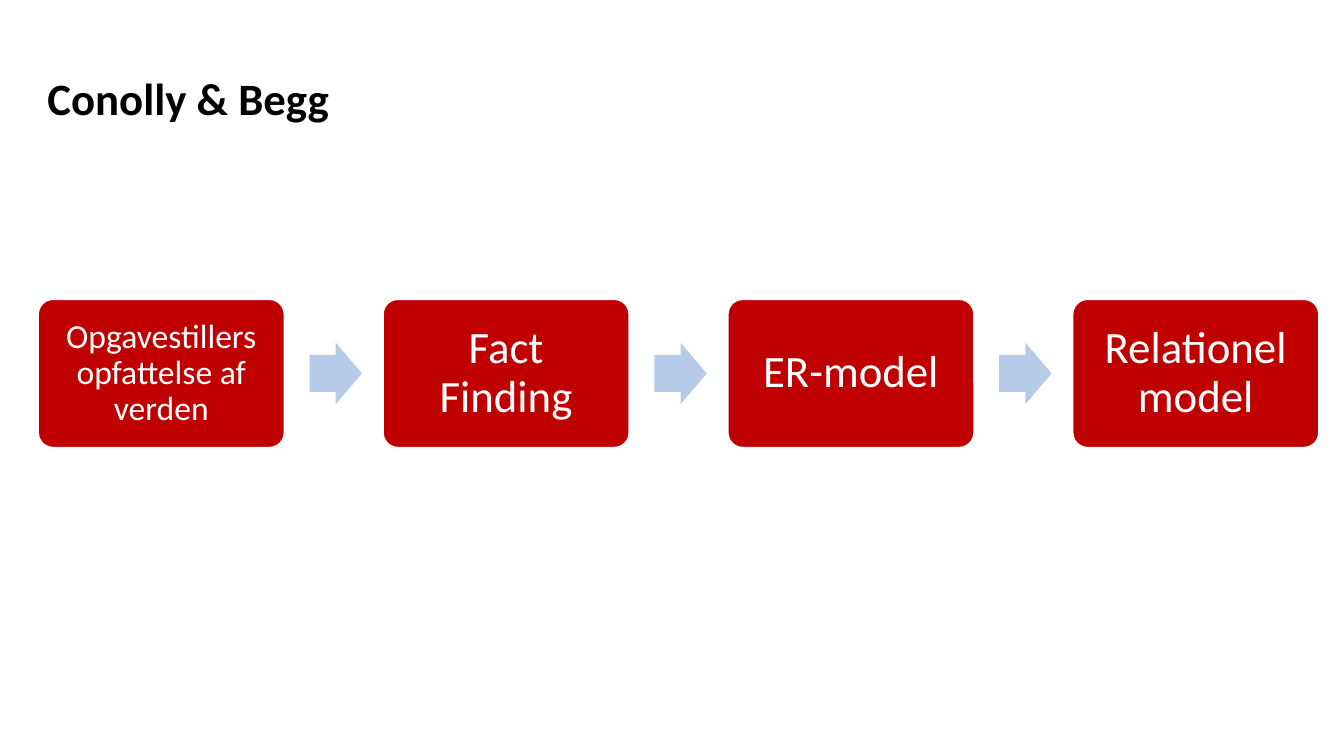
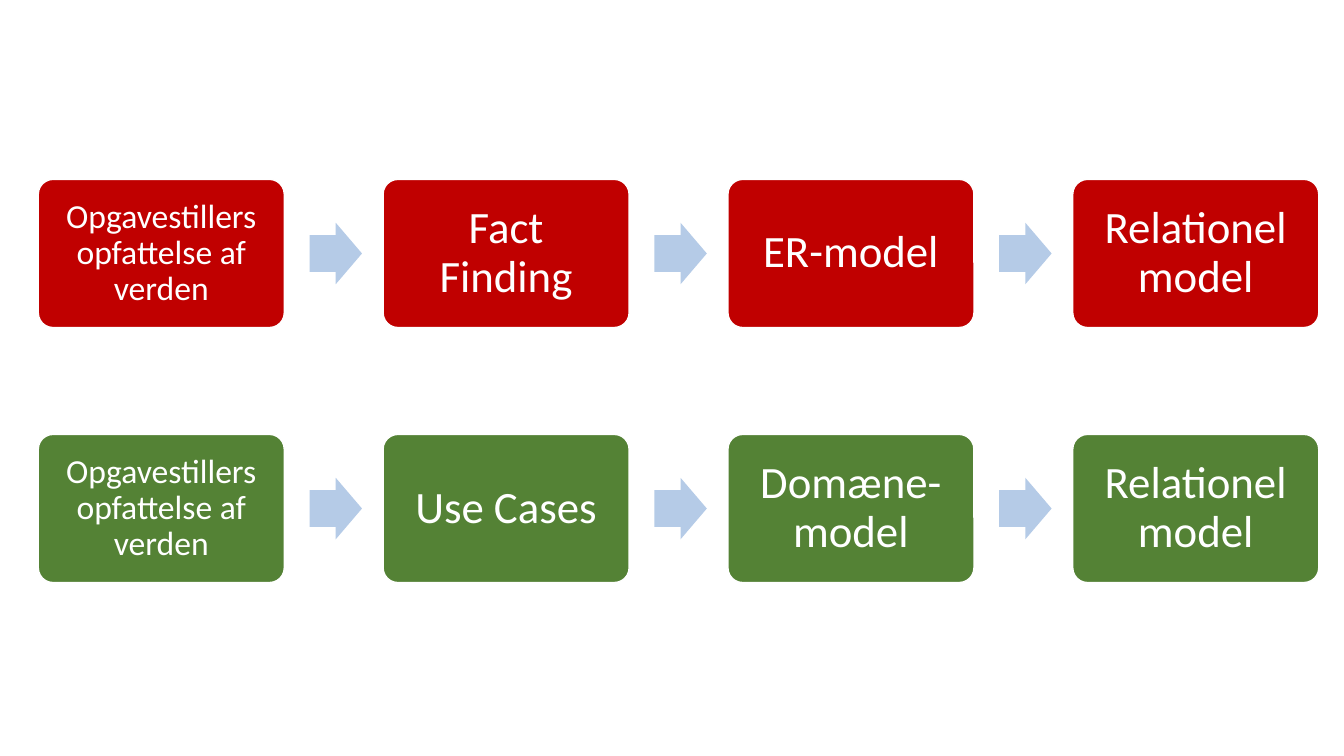
from pptx import Presentation
from pptx import util as u
from pptx.dml.color import RGBColor
from pptx.enum import shapes, text

FONT = "Calibri"
RED = RGBColor(0xC0, 0x00, 0x00)
GREEN = RGBColor(0x54, 0x82, 0x35)
PALE_BLUE = RGBColor(0xB5, 0xCB, 0xE7)
WHITE = RGBColor(0xFF, 0xFF, 0xFF)
BLACK = RGBColor(0x00, 0x00, 0x00)

TITLE_ONLY, BLANK = 5, 6
FLOW_LEFT, FLOW_WIDTH = u.Inches(0.38), u.Inches(12.7)
STEP_WIDTH, STEP_HEIGHT = u.Inches(2.44), u.Inches(1.47)
ARROW_WIDTH, ARROW_HEIGHT = u.Inches(0.52), u.Inches(0.61)
ARROW_GAP = u.Inches(0.25)

START = ("Opgavestillers opfattelse af verden", 24, 0.1)
GOAL = ("Relationel model", 32, 0.13)
DATABASE_STEPS = [START, ("Fact Finding", 32, 0.13), ("ER-model", 32, 0.13), GOAL]
OBJECT_STEPS = [START, ("Use Cases", 32, 0.13), ("Domæne-model", 32, 0.13), GOAL]


def add_span(para, words, size, color, bold=False):
    """Add one formatted run to a paragraph."""
    span = para.add_run()
    span.text = words
    span.font.name = FONT
    span.font.size = u.Pt(size)
    span.font.bold = bold
    span.font.color.rgb = color


def set_margins(frame, margin):
    """Give a text frame the same margin on all four sides."""
    frame.margin_left = frame.margin_right = margin
    frame.margin_top = frame.margin_bottom = margin


def add_title(page, words, left, top, width, height):
    """Place and fill the title placeholder."""
    box = page.shapes.title
    box.left, box.top, box.width, box.height = left, top, width, height
    frame = box.text_frame
    frame.vertical_anchor = text.MSO_ANCHOR.TOP
    frame.auto_size = text.MSO_AUTO_SIZE.SHAPE_TO_FIT_TEXT
    para = frame.paragraphs[0]
    para.alignment = text.PP_ALIGN.LEFT
    add_span(para, words, 32, BLACK, bold=True)


def add_step(group, step, left, top, color):
    """Draw one rounded step with its centred label."""
    words, size, margin = step
    box = group.shapes.add_shape(
        shapes.MSO_SHAPE.ROUNDED_RECTANGLE, left, top, STEP_WIDTH, STEP_HEIGHT)
    box.adjustments[0] = 0.1
    box.shadow.inherit = False
    box.fill.solid()
    box.fill.fore_color.rgb = color
    box.line.color.rgb = WHITE
    box.line.width = u.Pt(1)
    frame = box.text_frame
    frame.word_wrap = True
    frame.vertical_anchor = text.MSO_ANCHOR.MIDDLE
    set_margins(frame, u.Inches(margin))
    para = frame.paragraphs[0]
    para.alignment = text.PP_ALIGN.CENTER
    para.line_spacing = 0.9
    add_span(para, words, size, WHITE)


def add_arrow(group, left, top):
    """Draw the block arrow between two steps."""
    arrow = group.shapes.add_shape(
        shapes.MSO_SHAPE.RIGHT_ARROW, left, top, ARROW_WIDTH, ARROW_HEIGHT)
    arrow.adjustments[0] = 0.6
    arrow.adjustments[1] = 0.5
    arrow.shadow.inherit = False
    arrow.fill.solid()
    arrow.fill.fore_color.rgb = PALE_BLUE
    arrow.line.fill.background()


def add_flow(page, steps, color, left, top, width):
    """Spread steps evenly over the width, with an arrow in each gap."""
    group = page.shapes.add_group_shape()
    pitch = (width - STEP_WIDTH) // (len(steps) - 1)
    arrow_top = top + (STEP_HEIGHT - ARROW_HEIGHT) // 2
    for index, step in enumerate(steps):
        step_left = left + index * pitch
        if index:
            add_arrow(group, step_left - pitch + STEP_WIDTH + ARROW_GAP, arrow_top)
        add_step(group, step, step_left, top, color)


def build_single_flow(deck):
    """Build the titled slide with the database flow."""
    page = deck.slides.add_slide(deck.slide_layouts[TITLE_ONLY])
    add_flow(page, DATABASE_STEPS, RED, FLOW_LEFT, u.Inches(2.97), FLOW_WIDTH)
    add_title(page, "Conolly & Begg",
              u.Inches(0.37), u.Inches(0.65), u.Inches(3.86), u.Inches(0.64))


def build_comparison(deck):
    """Build the slide that sets the two flows above each other."""
    page = deck.slides.add_slide(deck.slide_layouts[BLANK])
    add_flow(page, OBJECT_STEPS, GREEN, FLOW_LEFT, u.Inches(4.31), FLOW_WIDTH)
    add_flow(page, DATABASE_STEPS, RED, FLOW_LEFT, u.Inches(1.78), FLOW_WIDTH)


def main():
    """Build and save the deck."""
    deck = Presentation()
    deck.slide_width, deck.slide_height = u.Inches(13.33), u.Inches(7.5)
    build_single_flow(deck)
    build_comparison(deck)
    deck.save("out.pptx")


main()
